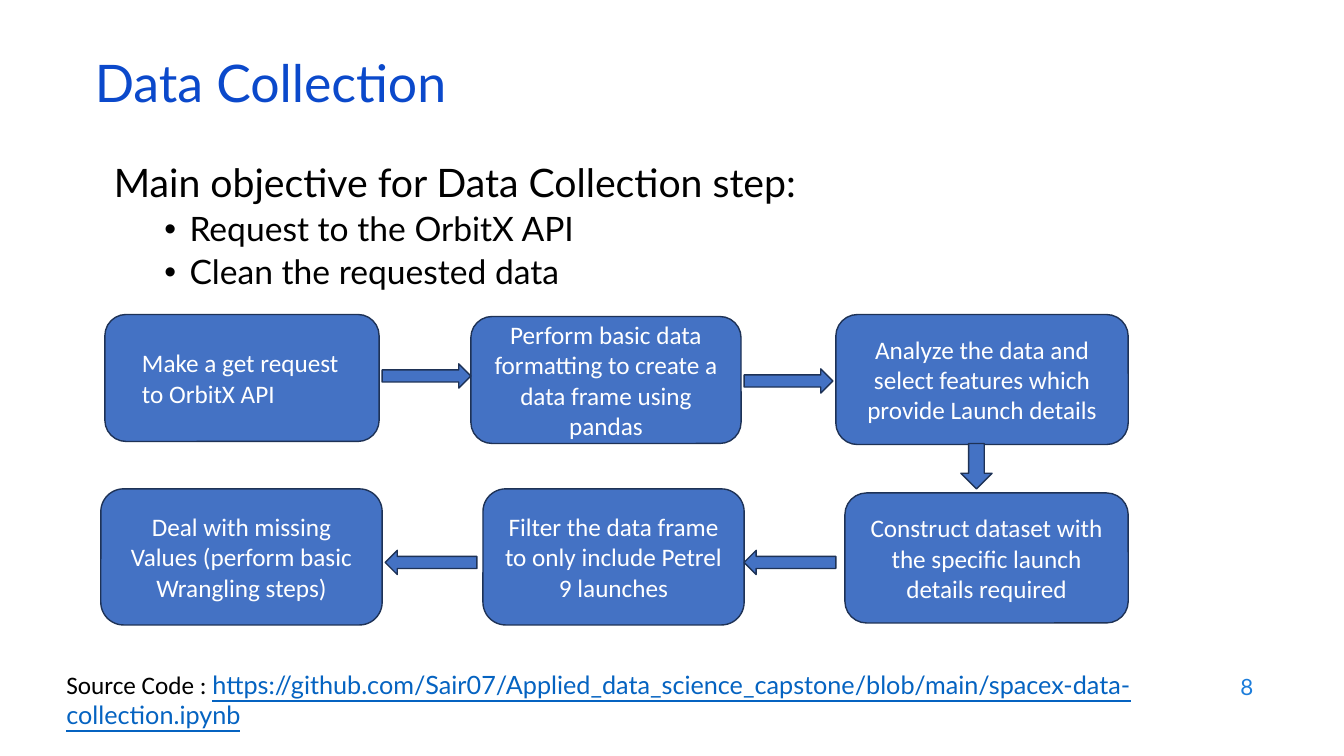
from dataclasses import dataclass

from lxml import etree
from pptx import Presentation
from pptx.dml.color import RGBColor
from pptx.enum.shapes import MSO_SHAPE
from pptx.enum.text import MSO_ANCHOR, PP_ALIGN
from pptx.oxml.ns import qn
from pptx.util import Inches, Pt

LEFT, CENTER, RIGHT = PP_ALIGN.LEFT, PP_ALIGN.CENTER, PP_ALIGN.RIGHT
TOP, MIDDLE = MSO_ANCHOR.TOP, MSO_ANCHOR.MIDDLE
STEP = MSO_SHAPE.ROUNDED_RECTANGLE
TO_RIGHT, TO_LEFT = MSO_SHAPE.RIGHT_ARROW, MSO_SHAPE.LEFT_ARROW
DOWN = MSO_SHAPE.DOWN_ARROW


@dataclass(frozen=True)
class Theme:
    heading_font: str = "Lato"
    step_font: str = "Calibri"
    title_color: str = "0B49CB"
    number_color: str = "1C7DDB"
    text_color: str = "000000"
    link_color: str = "0563C1"
    step_fill: str = "4472C4"
    step_line: str = "1E3256"
    step_text: str = "FFFFFF"
    title_size: int = 37
    lead_size: int = 28
    bullet_size: int = 24
    step_size: int = 18
    number_size: int = 16


class SlideBuilder:
    def __init__(self, slide, theme):
        self.slide = slide
        self.theme = theme

    def place(self, shape, box):
        shape.left, shape.top, shape.width, shape.height = map(Inches, box)

    def style(self, run, font, size, color):
        run.font.name = font
        run.font.size = Pt(size)
        run.font.color.rgb = RGBColor.from_string(color)

    def title(self, text, box):
        title = self.slide.shapes.title
        self.place(title, box)
        title.text_frame.text = text
        title.text_frame.vertical_anchor = MIDDLE
        heading = title.text_frame.paragraphs[0]
        heading.alignment = LEFT
        heading.line_spacing = 0.7
        theme = self.theme
        self.style(heading.runs[0], theme.heading_font, theme.title_size, theme.title_color)

    def objective(self, lead, goals, box):
        """Fill the body placeholder with a lead line and bulleted goals."""
        theme = self.theme
        body = self.slide.placeholders[1]
        self.place(body, box)
        frame = body.text_frame
        frame.text = "\n".join([lead, *goals])
        for index, paragraph in enumerate(frame.paragraphs):
            is_goal = index > 0
            paragraph.level = int(is_goal)
            paragraph.line_spacing = 0.9
            paragraph.space_before = Pt(5 if is_goal else 0)
            properties = paragraph._p.get_or_add_pPr()
            properties.set("marL", str(Inches(0.75 if is_goal else 0)))
            properties.set("indent", str(Inches(-0.25 if is_goal else 0)))
            if is_goal:
                etree.SubElement(properties, qn("a:buFont")).set("typeface", "Arial")
                etree.SubElement(properties, qn("a:buChar")).set("char", "•")
            else:
                etree.SubElement(properties, qn("a:buNone"))
            size = theme.bullet_size if is_goal else theme.lead_size
            self.style(paragraph.runs[0], theme.heading_font, size, theme.text_color)

    def block(self, kind, box, text=""):
        """Draw a process step or a block arrow."""
        theme = self.theme
        block = self.slide.shapes.add_shape(kind, *map(Inches, box))
        block.shadow.inherit = False
        block.fill.solid()
        block.fill.fore_color.rgb = RGBColor.from_string(theme.step_fill)
        block.line.color.rgb = RGBColor.from_string(theme.step_line)
        block.line.width = Pt(1)
        if text:
            frame = block.text_frame
            frame.text = text
            frame.word_wrap = True
            frame.vertical_anchor = MIDDLE
            frame.paragraphs[0].alignment = CENTER
            self.style(frame.paragraphs[0].runs[0], theme.step_font,
                       theme.step_size, theme.step_text)

    def text(self, box, parts, align=LEFT, anchor=TOP):
        """Add one paragraph made of (text, font, size, color, underline) parts."""
        frame = self.slide.shapes.add_textbox(*map(Inches, box)).text_frame
        frame.word_wrap = True
        frame.vertical_anchor = anchor
        paragraph = frame.paragraphs[0]
        paragraph.alignment = align
        for wording, font, size, color, underline in parts:
            run = paragraph.add_run()
            run.text = wording
            self.style(run, font, size, color)
            run.font.underline = underline


STEPS = [
    ("", (1.04, 3.12, 2.72, 1.26)),
    ("Perform basic data formatting to create a data frame using pandas",
     (4.67, 3.14, 2.68, 1.26)),
    ("Analyze the data and select features which provide Launch details",
     (8.29, 3.12, 2.9, 1.29)),
    ("Construct dataset with the specific launch details required",
     (8.38, 4.89, 2.81, 1.29)),
    ("Filter the data frame to only include\u00a0Petrel 9\u00a0launches",
     (4.79, 4.85, 2.59, 1.35)),
    ("Deal with missing Values (perform basic Wrangling steps)",
     (1, 4.85, 2.79, 1.35)),
]
ARROWS = [
    (TO_RIGHT, (3.79, 3.61, 0.88, 0.24)),
    (TO_RIGHT, (7.38, 3.66, 0.88, 0.24)),
    (DOWN, (9.53, 4.4, 0.31, 0.45)),
    (TO_LEFT, (7.38, 5.46, 0.91, 0.24)),
    (TO_LEFT, (3.82, 5.46, 0.91, 0.24)),
]
SOURCE_URL = ("https://github.com/Sair07/Applied_data_science_capstone/"
              "blob/main/spacex-data-collection.ipynb")


def main():
    deck = Presentation()
    deck.slide_width, deck.slide_height = Inches(13.33), Inches(7.5)
    theme = Theme()
    page = SlideBuilder(deck.slides.add_slide(deck.slide_layouts[1]), theme)

    page.title("Data Collection", (0.84, 0.59, 11.5, 0.6))
    page.objective("Main objective for Data Collection step:",
                   ["Request to the OrbitX API", "Clean the requested data"],
                   (1.03, 1.57, 11.5, 2.62))
    for wording, box in STEPS:
        page.block(STEP, box, wording)
    page.text((1.31, 3.4, 2.21, 0.71),
              [("Make a get request to OrbitX API", theme.step_font,
                theme.step_size, theme.step_text, False)])
    for direction, box in ARROWS:
        page.block(direction, box)
    page.text((0.56, 6.59, 11.18, 1.01),
              [("Source Code : ", theme.step_font, theme.step_size, theme.text_color, False),
               (SOURCE_URL, theme.heading_font, theme.step_size, theme.link_color, True)])
    page.text((9.53, 6.59, 3, 0.44),
              [("8", theme.heading_font, theme.number_size, theme.number_color, False)],
              RIGHT, MIDDLE)
    deck.save("out.pptx")


if __name__ == "__main__":
    main()
